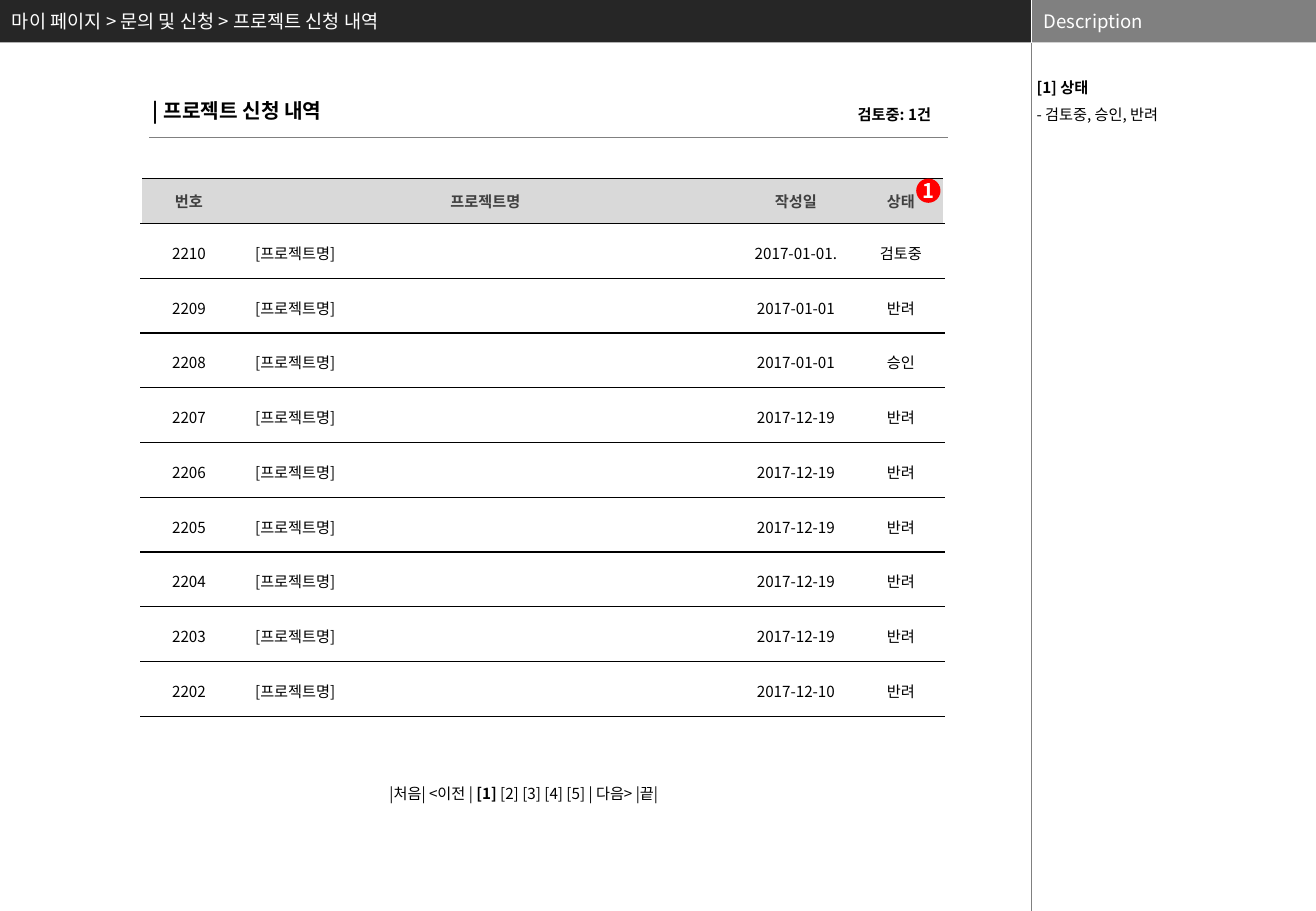
from pptx import Presentation
from pptx.dml.color import RGBColor
from pptx.enum.shapes import MSO_CONNECTOR, MSO_SHAPE
from pptx.enum.text import MSO_ANCHOR, PP_ALIGN
from pptx.oxml.ns import qn
from pptx.util import Inches, Pt
from lxml import etree

LEFT, CENTER, RIGHT = PP_ALIGN.LEFT, PP_ALIGN.CENTER, PP_ALIGN.RIGHT
TOP, MIDDLE = MSO_ANCHOR.TOP, MSO_ANCHOR.MIDDLE
RECT, ROUND_RECT, OVAL = MSO_SHAPE.RECTANGLE, MSO_SHAPE.ROUNDED_RECTANGLE, MSO_SHAPE.OVAL
STRAIGHT = MSO_CONNECTOR.STRAIGHT

BLACK = RGBColor(0x00, 0x00, 0x00)
WHITE = RGBColor(0xFF, 0xFF, 0xFF)
DARK = RGBColor(0x26, 0x26, 0x26)
GRAY = RGBColor(0x80, 0x80, 0x80)
HEAD_FILL = RGBColor(0xD9, 0xD9, 0xD9)
HEAD_TEXT = RGBColor(0x40, 0x40, 0x40)
RED = RGBColor(0xFF, 0x00, 0x00)

FONT = "Noto Sans CJK KR"
SLIDE_W, SLIDE_H = 10.83, 7.5
BAR_H, MAIN_W = 0.35, 8.49
COLUMNS = (0.79, 4.09, 1.02, 0.71)
HEAD_H, ROW_H = 0.37, 0.45
DEFAULT_INSETS = (0.1, 0.05, 0.1, 0.05)

HEADINGS = ("번호", "프로젝트명", "작성일", "상태")
REQUESTS = (
    ("2017-01-01.", "검토중"), ("2017-01-01", "반려"), ("2017-01-01", "승인"),
    ("2017-12-19", "반려"), ("2017-12-19", "반려"), ("2017-12-19", "반려"),
    ("2017-12-19", "반려"), ("2017-12-19", "반려"), ("2017-12-10", "반려"),
)
FIRST_NUMBER = 2210


def style(p, size, color=BLACK, bold=False, align=LEFT):
    p.alignment = align
    f = p.font
    f.size, f.bold, f.name = Pt(size), bold, FONT
    f.color.rgb = color
    ea = etree.SubElement(p._p.pPr.find(qn("a:defRPr")), qn("a:ea"))
    ea.set("typeface", FONT)


def set_margins(target, insets):
    (target.margin_left, target.margin_top,
     target.margin_right, target.margin_bottom) = map(Inches, insets)


def write(sp, text, size, color=BLACK, bold=False, align=LEFT,
          anchor=MIDDLE, insets=DEFAULT_INSETS, wrap=True):
    tf = sp.text_frame
    tf.word_wrap, tf.vertical_anchor = wrap, anchor
    set_margins(tf, insets)
    p = tf.paragraphs[0]
    p.text = text
    style(p, size, color, bold, align)
    return tf


def add_box(s, x, y, w, h):
    return s.shapes.add_textbox(*map(Inches, (x, y, w, h)))


def add_block(s, kind, x, y, w, h, fill):
    sp = s.shapes.add_shape(kind, *map(Inches, (x, y, w, h)))
    sp.shadow.inherit = False
    sp.fill.solid()
    sp.fill.fore_color.rgb = fill
    sp.line.fill.background()
    return sp


def add_line(s, x1, y1, x2, y2, color, width):
    line = s.shapes.add_connector(STRAIGHT, *map(Inches, (x1, y1, x2, y2)))
    line.line.color.rgb = color
    line.line.width = Pt(width)
    etree.SubElement(line._element.spPr, qn("a:effectLst"))


def set_border(cell, side, color=None, width=0.75):
    ln = etree.SubElement(cell._tc.get_or_add_tcPr(), qn(f"a:ln{side}"))
    if color is None:
        etree.SubElement(ln, qn("a:noFill"))
        return
    ln.set("w", str(Pt(width)))
    fill = etree.SubElement(ln, qn("a:solidFill"))
    etree.SubElement(fill, qn("a:srgbClr")).set("val", str(color))


def top_bar(s, x, y, w, h):
    add_block(s, RECT, x, y, MAIN_W, h, DARK)
    add_block(s, RECT, x + MAIN_W, y, w - MAIN_W, h, GRAY)
    add_line(s, x + MAIN_W, y, x + MAIN_W, y + h, WHITE, 0.25)
    write(add_box(s, x, y, MAIN_W, h),
          "마이 페이지 > 문의 및 신청 > 프로젝트 신청 내역", 11, WHITE)
    write(add_box(s, x + MAIN_W, y, w - MAIN_W, h), "Description", 11, WHITE)


def description_panel(s, x, y, w, h):
    add_line(s, x, y, x, y + h, GRAY, 0.25)
    gap = 0.22
    tf = write(add_box(s, x, y + gap, w, h - gap), "[1] 상태", 9, bold=True,
               anchor=TOP, insets=(0.04, 0, 0.04, 0))
    p = tf.add_paragraph()
    p.text = "- 검토중, 승인, 반려"
    style(p, 9)
    for p in tf.paragraphs:
        p.line_spacing = 1.5


def page_heading(s, x, y, w, h):
    write(add_box(s, x, y, w / 3, 0.3), "| 프로젝트 신청 내역", 12, bold=True, anchor=TOP)
    add_line(s, x + 0.07, y + h, x + w + 0.03, y + h, GRAY, 0.75)
    count_w = 1.57
    count = add_block(s, ROUND_RECT, x + w - count_w, y + 0.08, count_w, 0.2, WHITE)
    write(count, "검토중: 1건", 9, bold=True, align=RIGHT, insets=(0.1, 0, 0.1, 0))


def request_table(s, x, y, w):
    rows = [HEADINGS]
    rows += [(str(FIRST_NUMBER - i), "[프로젝트명]", date, state)
             for i, (date, state) in enumerate(REQUESTS)]
    last = len(COLUMNS) - 1
    height = HEAD_H + ROW_H * len(REQUESTS)
    table = s.shapes.add_table(len(rows), len(COLUMNS),
                               *map(Inches, (x, y, w, height))).table
    table.first_row = table.horz_banding = False
    for column, width in zip(table.columns, COLUMNS):
        column.width = Inches(width)
    for i, values in enumerate(rows):
        head = i == 0
        table.rows[i].height = Inches(HEAD_H if head else ROW_H)
        for j, value in enumerate(values):
            cell = table.cell(i, j)
            cell.vertical_anchor = MIDDLE
            set_margins(cell, (0, 0, 0, 0) if head else (0.15,) * 4)
            set_border(cell, "L", WHITE if j == 0 else None, 1)
            set_border(cell, "R", WHITE if j == last else None, 1)
            set_border(cell, "T", BLACK)
            set_border(cell, "B", BLACK)
            if head:
                cell.fill.solid()
                cell.fill.fore_color.rgb = HEAD_FILL
            else:
                cell.fill.background()
            p = cell.text_frame.paragraphs[0]
            p.text = value
            style(p, 9, HEAD_TEXT if head else BLACK, head,
                  LEFT if j == 1 and not head else CENTER)
    # Numbered marker on the status heading
    badge = add_block(s, OVAL, x + w - 0.23, y, 0.2, 0.2, RED)
    write(badge, "1", 12, WHITE, True, CENTER, insets=(0, 0, 0, 0), wrap=False)


def page_links(s, x, y, w, h):
    tf = write(add_box(s, x, y, w, h), "", 9, align=CENTER, anchor=TOP)
    for text, bold in (("|처음| <이전 | ", False), ("[1]", True),
                       (" [2] [3] [4] [5] | 다음> |끝|", False)):
        r = tf.paragraphs[0].add_run()
        r.text = text
        r.font.bold = bold


def main():
    prs = Presentation()
    prs.slide_width, prs.slide_height = Inches(SLIDE_W), Inches(SLIDE_H)
    s = prs.slides.add_slide(prs.slide_layouts[6])
    table_x, table_w = 1.16, sum(COLUMNS)
    top_bar(s, 0, 0, SLIDE_W, BAR_H)
    description_panel(s, MAIN_W, BAR_H, SLIDE_W - MAIN_W, SLIDE_H - BAR_H)
    page_heading(s, table_x, 0.76, table_w, 0.37)
    request_table(s, table_x, 1.47, table_w)
    page_links(s, 2.95, 6.41, 2.72, 0.25)
    prs.save("out.pptx")


if __name__ == "__main__":
    main()
